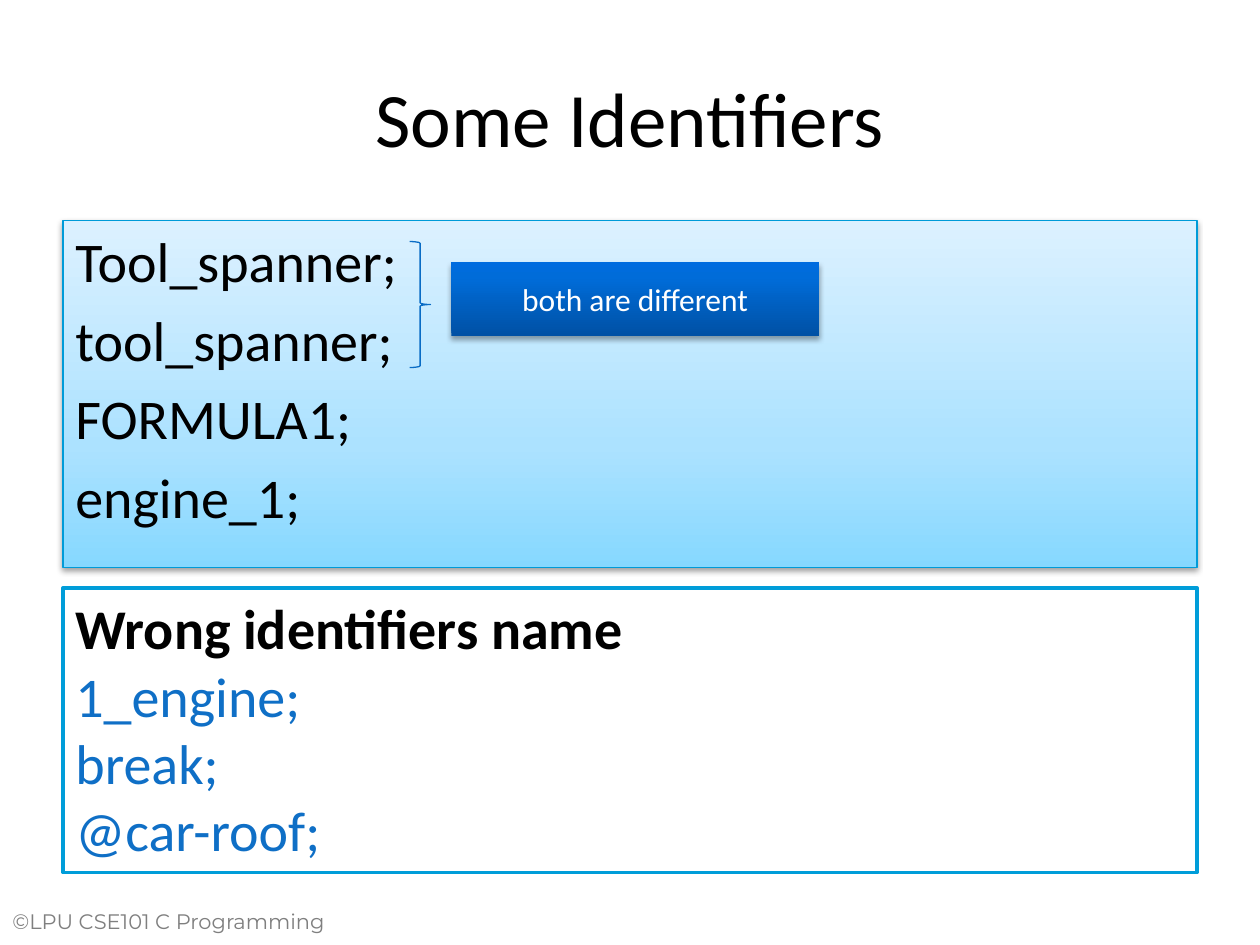
"""Build a slide on valid and invalid C identifiers."""
from lxml.etree import SubElement
from pptx import Presentation
from pptx.dml.color import RGBColor
from pptx.enum.shapes import MSO_SHAPE
from pptx.enum.text import MSO_ANCHOR, PP_ALIGN
from pptx.oxml.ns import qn
from pptx.util import Cm, Pt

BLACK = RGBColor(0x00, 0x00, 0x00)
WHITE = RGBColor(0xFF, 0xFF, 0xFF)
GREY = RGBColor(0x7F, 0x7F, 0x7F)
BLUE = RGBColor(0x0F, 0x6F, 0xC6)
BRACE = RGBColor(0x09, 0x6C, 0xC5)
EDGE = RGBColor(0x00, 0x9B, 0xD8)
FRAME = RGBColor(0x00, 0x9D, 0xD9)
PALE = {0: RGBColor(0x86, 0xD8, 0xFF), 35: RGBColor(0xAC, 0xE2, 0xFF),
        100: RGBColor(0xDC, 0xF1, 0xFF)}
DEEP = {0: RGBColor(0x00, 0x51, 0xA5), 80: RGBColor(0x00, 0x6C, 0xD9),
        100: RGBColor(0x00, 0x6C, 0xDF)}

LEFT, WIDTH = 1.27, 22.86
BODY = {"name": "Calibri", "size": Pt(32)}
HEAD = {"name": "Calibri", "size": Pt(44)}
NOTE = {"name": "Calibri", "size": Pt(18)}
FOOT = {"name": "Montserrat", "size": Pt(12)}


def write(shape, lines, style, color, align=PP_ALIGN.LEFT,
          anchor=MSO_ANCHOR.TOP, gap=0):
    frame = shape.text_frame
    frame.word_wrap = True
    frame.vertical_anchor = anchor
    frame.text = "\n".join(lines)
    for row, para in enumerate(frame.paragraphs):
        para.alignment = align
        para.space_before = Pt(gap if row else 0)
        for key, value in style.items():
            setattr(para.font, key, value)
        para.font.color.rgb = color
    return frame


def label(slide, box, *args, **opts):
    shape = slide.shapes.add_textbox(*map(Cm, box))
    write(shape, *args, **opts)


def outline(slide, kind, box, color=None, width=0.75):
    shape = slide.shapes.add_shape(kind, *map(Cm, box))
    shape.shadow.inherit = False
    shape.fill.background()
    if color is None:
        shape.line.fill.background()
    else:
        shape.line.color.rgb = color
        shape.line.width = Pt(width)
    return shape


def shade(shape, stops):
    shape.fill.gradient()
    shape.fill.gradient_angle = 90
    ramp = next(shape.element.spPr.iter(qn("a:gsLst")))
    for stop in list(ramp):
        ramp.remove(stop)
    for place, color in stops.items():
        stop = SubElement(ramp, qn("a:gs"), pos=str(place * 1000))
        SubElement(stop, qn("a:srgbClr"), val=str(color))


def lift(shape, drop, alpha):
    effect = shape.element.spPr.find(qn("a:effectLst"))
    cast = SubElement(effect, qn("a:outerShdw"), blurRad=str(Pt(3.1)),
                      dist=str(Pt(drop)), dir="5400000", rotWithShape="0")
    tint = SubElement(cast, qn("a:srgbClr"), val=str(BLACK))
    SubElement(tint, qn("a:alpha"), val=str(alpha * 1000))


def main():
    deck = Presentation()
    deck.slide_width, deck.slide_height = Cm(25.4), Cm(19.05)
    slide = deck.slides.add_slide(deck.slide_layouts[6])
    mid = {"align": PP_ALIGN.CENTER, "anchor": MSO_ANCHOR.MIDDLE}

    label(slide, (0, 18.2, 7.62, 1.06), ["©LPU CSE101 C Programming"],
          FOOT, GREY)
    label(slide, (LEFT, 0.76, WIDTH, 3.18), ["Some Identifiers"],
          HEAD, BLACK, **mid)

    valid = outline(slide, MSO_SHAPE.RECTANGLE, (LEFT, 4.45, WIDTH, 6.99), EDGE)
    shade(valid, PALE)
    lift(valid, 1.6, 37)
    write(valid, ["Tool_spanner;", "tool_spanner;", "FORMULA1;", "engine_1;"],
          BODY, BLACK, gap=6.4)

    brace = outline(slide, MSO_SHAPE.RIGHT_BRACE, (8.26, 4.87, 0.42, 2.54), BRACE)
    brace.adjustments[0] = 0.08

    note = outline(slide, MSO_SHAPE.RECTANGLE, (9.1, 5.29, 7.41, 1.48))
    shade(note, DEEP)
    lift(note, 1.8, 35)
    write(note, ["both are different"], NOTE, WHITE, **mid)

    wrong = outline(slide, MSO_SHAPE.RECTANGLE, (LEFT, 11.85, WIDTH, 5.74), FRAME, 2)
    wrong.fill.solid()
    wrong.fill.fore_color.rgb = WHITE
    frame = write(wrong, ["Wrong identifiers name", "1_engine;", "break;",
                          "@car-roof;"], BODY, BLUE)
    font = frame.paragraphs[0].font
    font.bold = True
    font.color.rgb = BLACK

    deck.save("out.pptx")


if __name__ == "__main__":
    main()
